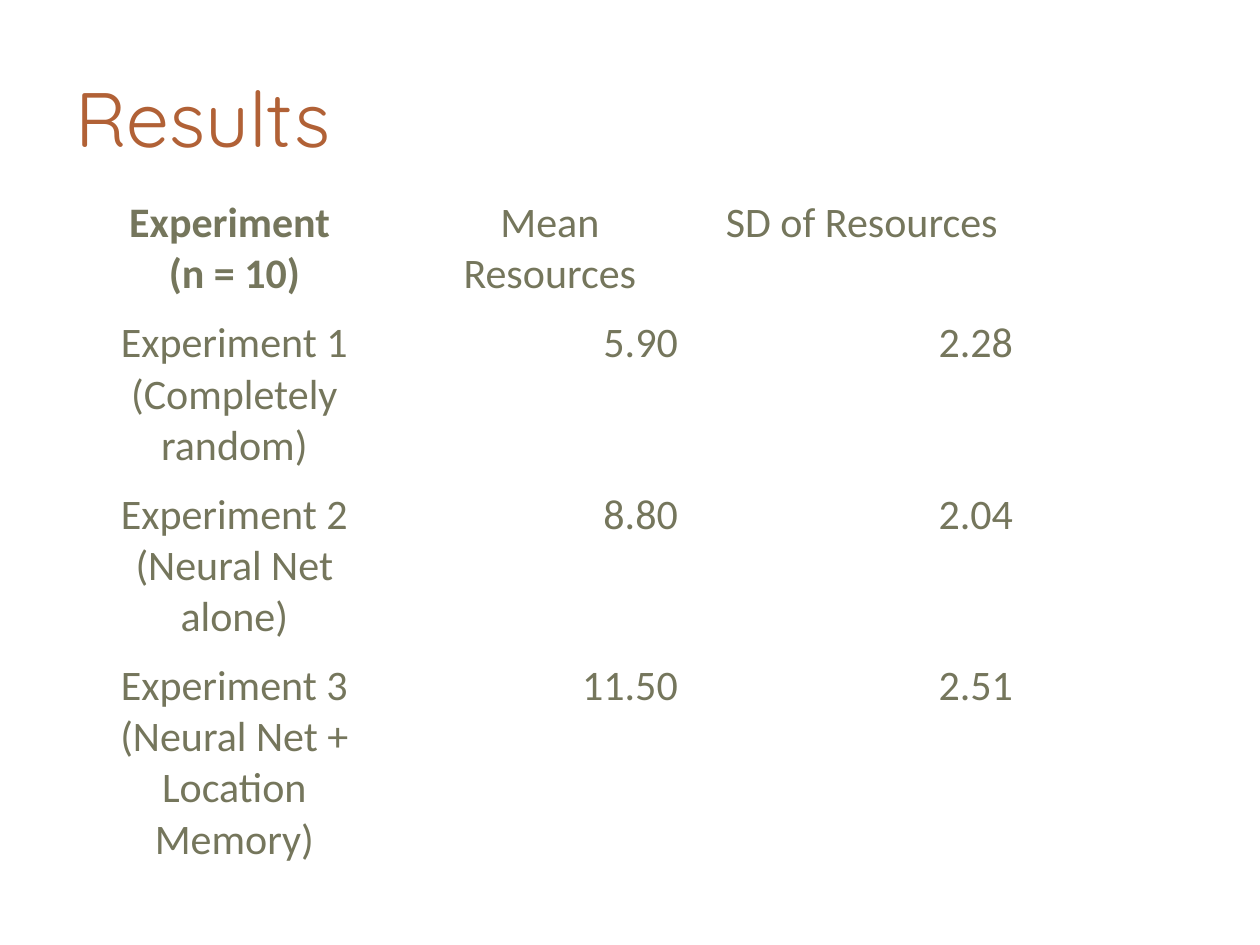
from dataclasses import dataclass

from pptx import Presentation
from pptx.dml.color import RGBColor as RGB
from pptx.enum.text import MSO_ANCHOR as Anchor, PP_ALIGN as Align
from pptx.util import Inches, Pt


@dataclass(frozen=True)
class Theme:
    """Colours, fonts and type sizes of the slide."""
    heading_color: RGB = RGB(0xB1, 0x61, 0x36)
    body_color: RGB = RGB(0x75, 0x76, 0x5C)
    heading_font: str = "Quicksand"
    body_font: str = "Calibri"
    heading_size: int = 44
    body_size: int = 24


THEME = Theme()
WIDTH, HEIGHT = 10, 7.5
TITLE_BOX = (0.05 * WIDTH, 0.04 * HEIGHT, 0.9 * WIDTH, 1.25)
TABLE_BOX = (0.05 * WIDTH, 0.2 * HEIGHT, 7.67, 5.34)
COLUMN_WIDTHS = (2.72, 2.29, 2.66)
ROW_LINES = (2, 3, 3, 4)
LINE_HEIGHT = 0.4
PAD_X, PAD_Y = 0.13, 0.07
RESULTS = (
    ("Experiment \n(n = 10)", "Mean Resources", "SD of Resources"),
    ("Experiment 1 (Completely random)", "5.90", "2.28"),
    ("Experiment 2 (Neural Net alone)", "8.80", "2.04"),
    ("Experiment 3 (Neural Net + Location Memory)", "11.50", "2.51"),
)


def style(paragraph, font_name, size, color, align, bold=False):
    """Format a whole paragraph."""
    paragraph.alignment = align
    font = paragraph.font
    font.name, font.size, font.bold = font_name, Pt(size), bold
    font.color.rgb = color


def place_title(slide, box, heading):
    """Put the heading in the title placeholder."""
    title = slide.shapes.title
    title.left, title.top, title.width, title.height = map(Inches, box)
    frame = title.text_frame
    frame.text = heading
    frame.vertical_anchor = Anchor.MIDDLE
    style(frame.paragraphs[0], THEME.heading_font, THEME.heading_size,
          THEME.heading_color, Align.LEFT)


def fill_cell(cell, content, align, bold):
    """Write one unfilled cell with even padding."""
    cell.fill.background()
    cell.margin_left = cell.margin_right = Inches(PAD_X)
    cell.margin_top = cell.margin_bottom = Inches(PAD_Y)
    cell.text = content
    for paragraph in cell.text_frame.paragraphs:
        style(paragraph, THEME.body_font, THEME.body_size,
              THEME.body_color, align, bold)


def place_results(slide, box, results):
    """Lay out the results, with figures aligned right below the header."""
    table = slide.shapes.add_table(
        len(results), len(COLUMN_WIDTHS), *map(Inches, box)).table
    table.first_row = table.horz_banding = False
    for column, width in zip(table.columns, COLUMN_WIDTHS):
        column.width = Inches(width)
    for row, lines in zip(table.rows, ROW_LINES):
        row.height = Inches(lines * LINE_HEIGHT + 2 * PAD_Y)
    for r, record in enumerate(results):
        for c, content in enumerate(record):
            align = Align.RIGHT if r and c else Align.CENTER
            fill_cell(table.cell(r, c), content, align, r == c == 0)


def main():
    """Build and save the slide."""
    deck = Presentation()
    deck.slide_width, deck.slide_height = Inches(WIDTH), Inches(HEIGHT)
    slide = deck.slides.add_slide(deck.slide_layouts.get_by_name("Title Only"))
    place_title(slide, TITLE_BOX, "Results")
    place_results(slide, TABLE_BOX, RESULTS)
    deck.save("out.pptx")


if __name__ == "__main__":
    main()
